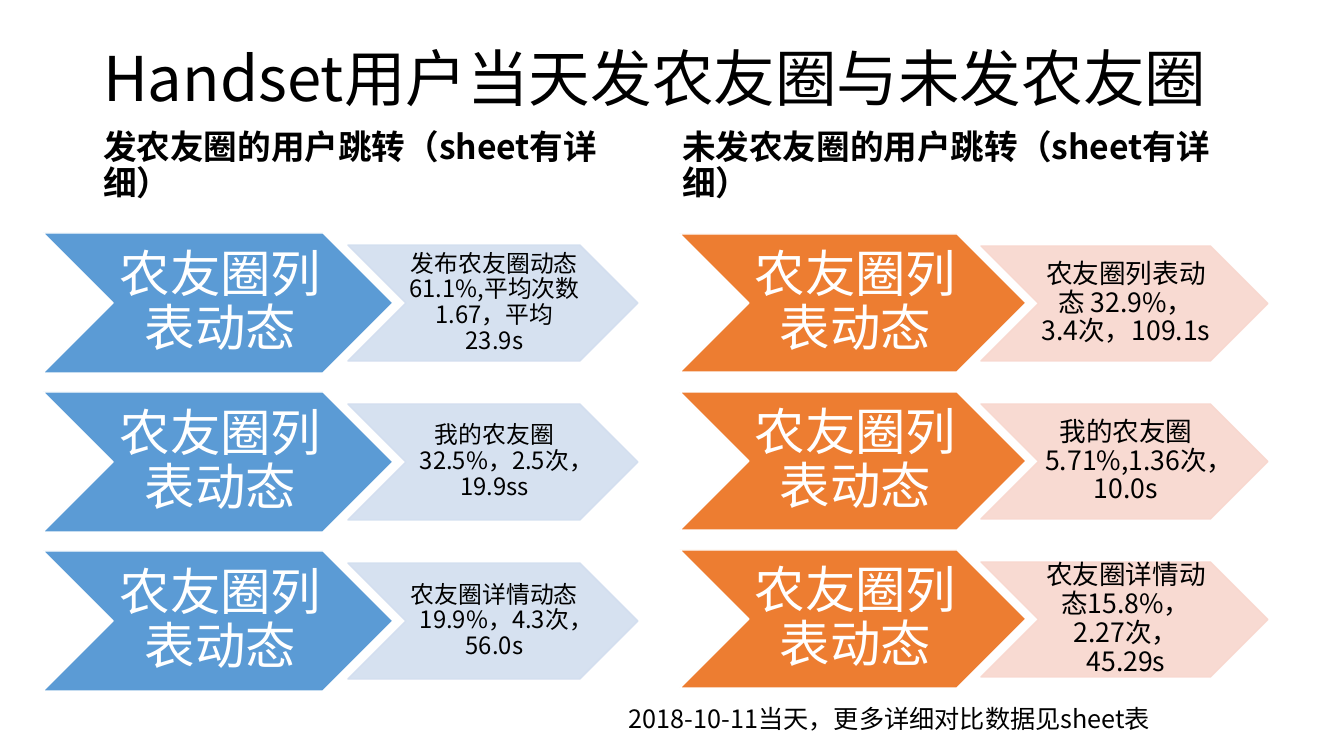
from lxml import etree
from pptx import Presentation
from pptx.dml.color import RGBColor
from pptx.enum.shapes import MSO_SHAPE
from pptx.enum.text import MSO_ANCHOR, MSO_AUTO_SIZE, PP_ALIGN
from pptx.oxml.ns import qn
from pptx.util import Pt

PX = 914400 / 100.8
FONT = "Noto Sans CJK SC"
BLACK = RGBColor(0x00, 0x00, 0x00)
WHITE = RGBColor(0xFF, 0xFF, 0xFF)
BLUE = RGBColor(0x5B, 0x9B, 0xD5)
PALE_BLUE = RGBColor(0xD2, 0xDE, 0xEF)
ORANGE = RGBColor(0xED, 0x7D, 0x31)
PALE_ORANGE = RGBColor(0xF8, 0xD7, 0xCE)
CHEVRON = MSO_SHAPE.CHEVRON
MIDDLE, BOTTOM, TOP = MSO_ANCHOR.MIDDLE, MSO_ANCHOR.BOTTOM, MSO_ANCHOR.TOP
LEFT, CENTER = PP_ALIGN.LEFT, PP_ALIGN.CENTER
NO_FIT = MSO_AUTO_SIZE.NONE


def emu(*lengths):
    return [round(n * PX) for n in lengths]


def write(sp, text, size, color, align, anchor, spacing=0.9, bold=False):
    tf = sp.text_frame
    tf.word_wrap = True
    tf.auto_size = NO_FIT
    tf.vertical_anchor = anchor
    p = tf.paragraphs[0]
    p.alignment = align
    p.line_spacing = spacing
    p.space_before = Pt(0)
    r = p.add_run()
    r.text = text
    r.font.name = FONT
    r.font.size = Pt(size)
    r.font.bold = bold
    r.font.color.rgb = color
    etree.SubElement(r.font._element, qn("a:ea"), typeface=FONT)


prs = Presentation()
prs.slide_width, prs.slide_height = emu(1344, 756)
s = prs.slides.add_slide(prs.slide_layouts[4])
holders = {sp.placeholder_format.idx: sp for sp in s.placeholders}
for idx in (2, 4):
    holders[idx]._element.getparent().remove(holders[idx]._element)

headings = [
    (0, (93, 40, 1159, 83), "Handset用户当天发农友圈与未发农友圈", 44, MIDDLE, False),
    (1, (93, 154, 569, 54), "发农友圈的用户跳转（sheet有详细）", 24, BOTTOM, True),
    (3, (672, 154, 572, 54), "未发农友圈的用户跳转（sheet有详细）", 24, BOTTOM, True),
]
for idx, box, text, size, anchor, bold in headings:
    sp = holders[idx]
    sp.left, sp.top, sp.width, sp.height = emu(*box)
    write(sp, text, size, BLACK, LEFT, anchor, bold=bold)

columns = [
    (680, 234, 158, (346, 138), 981, (287, 115), ORANGE, PALE_ORANGE, 19,
     ["农友圈列表动态 32.9%，3.4次，109.1s",
      "我的农友圈5.71%,1.36次，10.0s",
      "农友圈详情动态15.8%，2.27次，45.29s"]),
    (43, 233, 159, (350, 140), 348, (290, 116), BLUE, PALE_BLUE, 17,
     ["发布农友圈动态61.1%,平均次数1.67，平均23.9s",
      "我的农友圈32.5%，2.5次，19.9ss",
      "农友圈详情动态 19.9%，4.3次，56.0s"]),
]
for x, top, pitch, big, detail_x, small, dark, pale, size, details in columns:
    group = s.shapes.add_group_shape()
    for i, detail in enumerate(details):
        y = top + i * pitch
        chevrons = [
            ((x, y, *big), dark, WHITE, "农友圈列表动态", 36, WHITE, (5, 3)),
            ((detail_x, y + 12, *small), pale, pale, detail, size, BLACK, (3, 1)),
        ]
        for box, fill, line, text, text_size, color, inset in chevrons:
            sp = group.shapes.add_shape(CHEVRON, *emu(*box))
            sp.shadow.inherit = False
            sp.fill.solid()
            sp.fill.fore_color.rgb = fill
            sp.line.color.rgb = line
            sp.line.width = Pt(1)
            if fill == pale:
                for clr in sp._element.spPr.iter(qn("a:srgbClr")):
                    etree.SubElement(clr, qn("a:alpha"), val="90000")
            tf = sp.text_frame
            tf.margin_left, tf.margin_top, tf.margin_right, tf.margin_bottom = emu(
                *inset, 0, inset[1])
            write(sp, text, text_size, color, CENTER, MIDDLE)

sp = s.shapes.add_textbox(*emu(619, 698, 662, 40))
write(sp, "2018-10-11当天，更多详细对比数据见sheet表", 18, BLACK, LEFT, TOP, 1.0)

prs.save("out.pptx")
